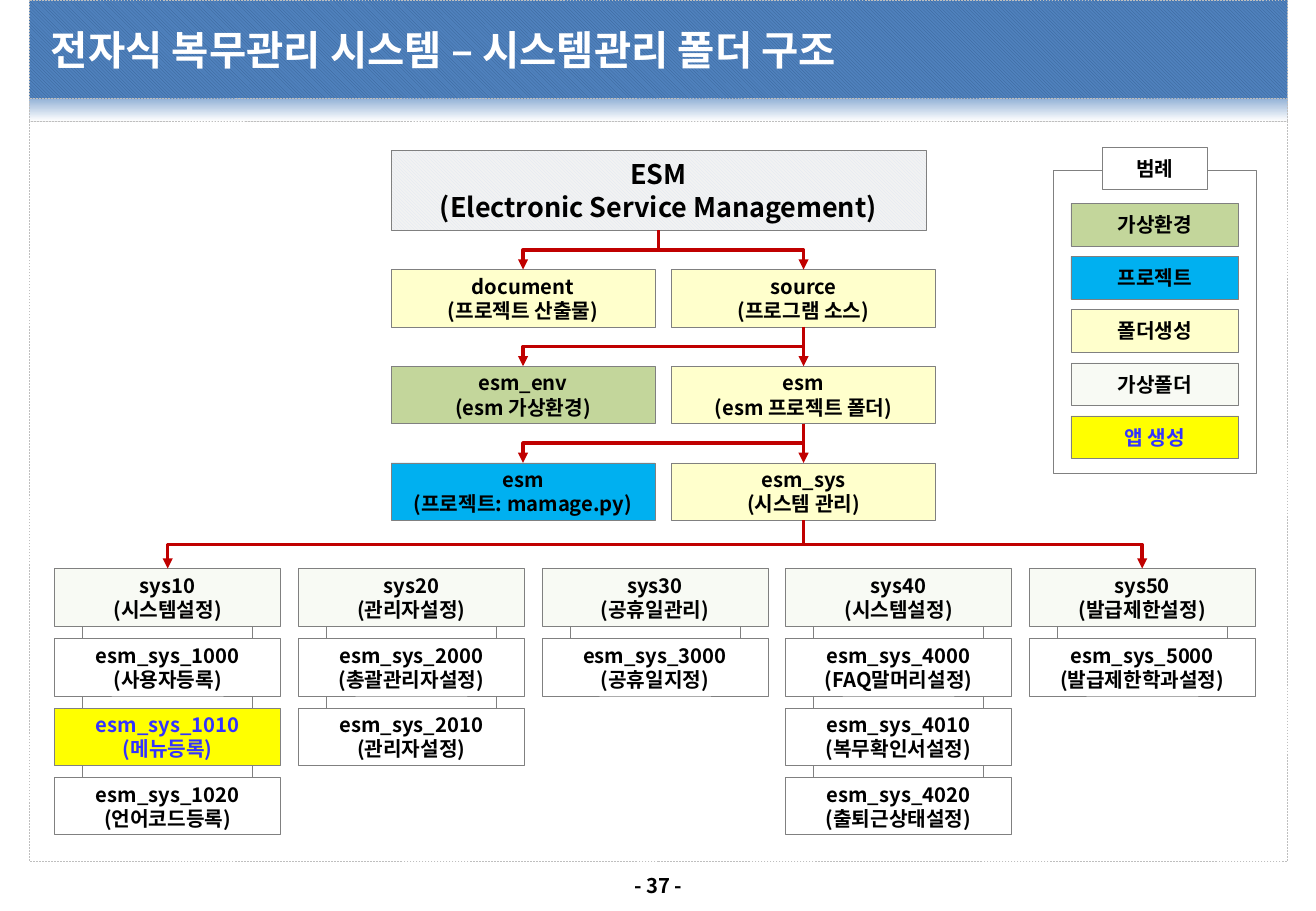
from lxml.etree import SubElement
from pptx import Presentation
from pptx.dml.color import RGBColor
from pptx.enum.dml import MSO_LINE, MSO_PATTERN
from pptx.enum.shapes import MSO_CONNECTOR, MSO_SHAPE
from pptx.enum.text import MSO_ANCHOR, MSO_AUTO_SIZE, PP_ALIGN
from pptx.oxml.ns import qn
from pptx.util import Pt

FONT = "Noto Sans CJK KR"
BLACK, WHITE, GRAY, RED, BLUE = "000000", "FFFFFF", "808080", "C00000", "3333FF"
ENVIRONMENT, PROJECT, FOLDER, VIRTUAL, APP = "C3D69B", "00B0F0", "FFFFCC", "F8FAF4", "FFFF00"

FOLDER_ROWS = [
    [(("document", "(프로젝트 산출물)"), FOLDER), (("source", "(프로그램 소스)"), FOLDER)],
    [(("esm_env", "(esm 가상환경)"), ENVIRONMENT), (("esm", "(esm 프로젝트 폴더)"), FOLDER)],
    [(("esm", "(프로젝트: mamage.py)"), PROJECT), (("esm_sys", "(시스템 관리)"), FOLDER)],
]
SYSTEMS = [
    [("sys10", "(시스템설정)"), ("esm_sys_1000", "(사용자등록)"),
     ("esm_sys_1010", "(메뉴등록)"), ("esm_sys_1020", "(언어코드등록)")],
    [("sys20", "(관리자설정)"), ("esm_sys_2000", "(총괄관리자설정)"),
     ("esm_sys_2010", "(관리자설정)")],
    [("sys30", "(공휴일관리)"), ("esm_sys_3000", "(공휴일지정)")],
    [("sys40", "(시스템설정)"), ("esm_sys_4000", "(FAQ말머리설정)"),
     ("esm_sys_4010", "(복무확인서설정)"), ("esm_sys_4020", "(출퇴근상태설정)")],
    [("sys50", "(발급제한설정)"), ("esm_sys_5000", "(발급제한학과설정)")],
]
LEGEND = [("가상환경", ENVIRONMENT), ("프로젝트", PROJECT), ("폴더생성", FOLDER),
          ("가상폴더", VIRTUAL), ("앱 생성", APP)]


def rgb(code):
    """Return the colour of a hex string."""
    return RGBColor.from_string(code)


def write(frame, lines, size, color, align=PP_ALIGN.CENTER, padding=(3, 3)):
    """Fill a text frame with one bold paragraph per line."""
    frame.auto_size = MSO_AUTO_SIZE.NONE
    frame.word_wrap = False
    frame.vertical_anchor = MSO_ANCHOR.MIDDLE
    frame.margin_left = frame.margin_right = Pt(padding[0])
    frame.margin_top = frame.margin_bottom = Pt(padding[1])
    for index, line in enumerate(lines):
        paragraph = frame.add_paragraph() if index else frame.paragraphs[0]
        paragraph.alignment = align
        run = paragraph.add_run()
        run.text = line
        run.font.name, run.font.size, run.font.bold = FONT, Pt(size), True
        run.font.color.rgb = rgb(color)
        SubElement(run.font._element, qn("a:ea")).set("typeface", FONT)


def add_panel(shapes, box, fill, line=GRAY):
    """Add a thin-lined rectangle with a plain fill."""
    panel = shapes.add_shape(MSO_SHAPE.RECTANGLE, *map(Pt, box))
    panel.shadow.inherit = False
    panel.fill.solid()
    panel.fill.fore_color.rgb = rgb(fill)
    panel.line.color.rgb = rgb(line)
    panel.line.width = Pt(0.25)
    return panel


def hatch(panel, fore, back):
    """Give a panel a light diagonal pattern."""
    panel.fill.patterned()
    panel.fill.pattern = MSO_PATTERN.LIGHT_DOWNWARD_DIAGONAL
    panel.fill.fore_color.rgb = rgb(fore)
    panel.fill.back_color.rgb = rgb(back)


def add_node(shapes, box, lines, fill):
    """Add a labelled box; app boxes get blue text."""
    node = add_panel(shapes, box, fill)
    write(node.text_frame, lines, 12, BLUE if fill == APP else BLACK)


def add_arrow(shapes, start, end):
    """Add a red arrow that runs down, across and down again."""
    (x1, y1), (x2, y2) = start, end
    drop, span = y2 - y1, abs(x2 - x1)
    if not span:
        arrow = shapes.add_connector(MSO_CONNECTOR.STRAIGHT, *map(Pt, (x1, y1, x2, y2)))
    else:
        middle_x, middle_y = (x1 + x2) / 2, (y1 + y2) / 2
        half = drop / 2 if x2 > x1 else -drop / 2
        arrow = shapes.add_connector(
            MSO_CONNECTOR.ELBOW, Pt(middle_x + half), Pt(middle_y - span / 2),
            Pt(middle_x - half), Pt(middle_y + span / 2))
        turn = 270 if x2 > x1 else 90
        arrow._element.spPr.find(qn("a:xfrm")).set("rot", str(turn * 60000))
    arrow.line.color.rgb = rgb(RED)
    arrow.line.width = Pt(2)
    SubElement(arrow.line._get_or_add_ln(), qn("a:tailEnd")).set("type", "triangle")
    SubElement(arrow._element.spPr, qn("a:effectLst"))


def add_page_frame(slide, box):
    """Add the header band, its fade, the body outline, title and page number."""
    left, top, width, height = box
    band_height, fade_height = 58.5, 13.5
    body_top = top + band_height + fade_height
    fade = add_panel(slide.shapes, (left, top + band_height, width, fade_height), WHITE, "BFBFBF")
    fade.fill.gradient()
    fade.fill.gradient_angle = 270
    for stop, color in zip(fade.fill.gradient_stops, ("95B3D7", WHITE)):
        stop.color.rgb = rgb(color)
    body = add_panel(slide.shapes, (left, body_top, width, top + height - body_top), WHITE, "BFBFBF")
    band = add_panel(slide.shapes, (left, top, width, band_height), WHITE, "BFBFBF")
    hatch(band, "376092", "4F81BD")
    for part in (fade, body, band):
        part.line.dash_style = MSO_LINE.DASH

    title = slide.shapes.title
    title.left, title.top = Pt(left + 10), Pt(top + 5.5)
    title.width, title.height = Pt(726.5), Pt(47.5)
    write(title.text_frame, ["전자식 복무관리 시스템 – 시스템관리 폴더 구조"], 24, WHITE, PP_ALIGN.LEFT)
    band._element.addnext(title._element)

    page_number = slide.shapes.add_textbox(
        Pt(left + width / 2 - 24.5), Pt(top + height + 3.5), Pt(49), Pt(21.6))
    write(page_number.text_frame, ["- 37 -"], 12, BLACK)


def add_folder_tree(slide, box):
    """Add the root and three rows of folders; return the foot of the last one."""
    left, top, width, height = box
    root_height, node_width, node_height, row_step = 47.5, 156.4, 34, 57.3
    root = add_panel(slide.shapes, (left, top, 317, root_height), WHITE)
    hatch(root, "DCE6F2", "F2F2F2")
    write(root.text_frame, ["ESM", "(Electronic Service Management)"], 16, BLACK, padding=(3, 6))
    parent = (left + 158.5, top + root_height)
    first_row = top + height - node_height - 2 * row_step
    for row, folders in enumerate(FOLDER_ROWS):
        y = first_row + row * row_step
        for x, (lines, fill) in zip((left, left + width - node_width), folders):
            add_node(slide.shapes, (x, y, node_width, node_height), lines, fill)
            center = x + node_width / 2
            add_arrow(slide.shapes, parent, (center, y))
        parent = (center, y + node_height)
    return parent


def add_systems(slide, box, parent):
    """Add the five system columns and the arrows to the outer two."""
    left, top, width, _ = box
    node_width, node_height, first_app, app_step = 134, 34, 41.6, 41.1
    column_step = (width - node_width) / (len(SYSTEMS) - 1)
    for column, (system, *apps) in enumerate(SYSTEMS):
        x = left + column * column_step
        group = slide.shapes.add_group_shape().shapes
        rail_end = first_app + (len(apps) - 1) * app_step + node_height / 2
        add_panel(group, (x + 16.6, top + 20.8, 100.8, rail_end - 20.8), WHITE)
        add_node(group, (x, top, node_width, node_height), system, VIRTUAL)
        for row, app in enumerate(apps):
            y = top + first_app + row * app_step
            fill = APP if app[0] == "esm_sys_1010" else WHITE
            add_node(group, (x, y, node_width, node_height), app, fill)
        if column in (0, len(SYSTEMS) - 1):
            add_arrow(slide.shapes, parent, (x + node_width / 2, top))


def add_legend(slide, box):
    """Add the legend frame, its heading and the colour keys."""
    left, top, width, height = box
    key_height, key_step = 25.2, 31.5
    add_panel(slide.shapes, (left, top + 13.5, width, height - 13.5), WHITE)
    add_node(slide.shapes, (left + width / 2 - 31, top, 62, key_height), ["범례"], WHITE)
    for index, (label, fill) in enumerate(LEGEND):
        y = top + 33.3 + index * key_step
        add_node(slide.shapes, (left + 10.5, y, width - 21, key_height), [label], fill)


def main():
    """Build the folder structure slide."""
    deck = Presentation()
    deck.slide_width, deck.slide_height = Pt(780), Pt(540)
    slide = deck.slides.add_slide(deck.slide_layouts[5])
    add_page_frame(slide, (17.2, 0, 746, 510.5))
    esm_sys = add_folder_tree(slide, (231.8, 89, 322.7, 219.4))
    add_systems(slide, (32.4, 337, 711.6, 157.8), esm_sys)
    add_legend(slide, (624.2, 87.2, 120.4, 193.3))
    deck.save("out.pptx")


if __name__ == "__main__":
    main()
